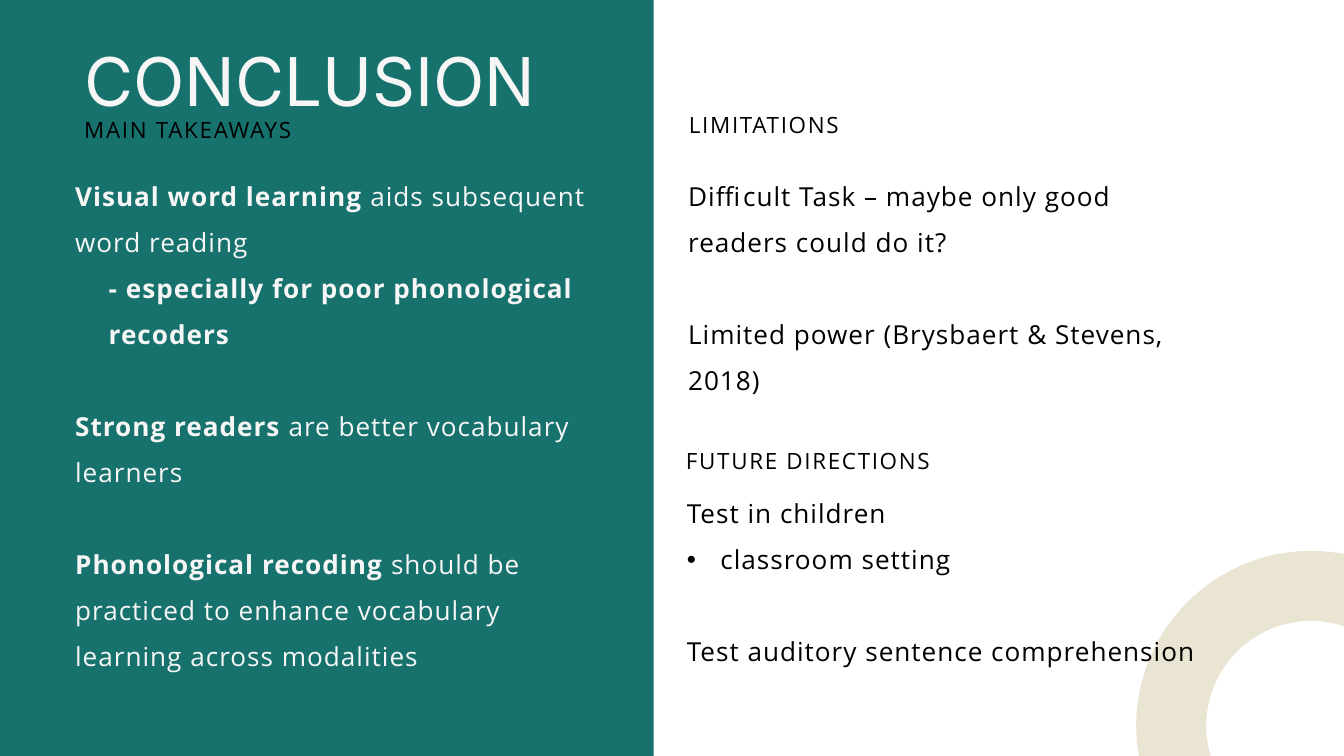
from dataclasses import dataclass

from lxml import etree
from pptx import Presentation
from pptx.dml.color import RGBColor
from pptx.enum import shapes, text
from pptx.oxml import ns
from pptx.util import Cm, Pt


@dataclass(frozen=True)
class Theme:
    teal: str = "17726D"
    sand: str = "EAE4D2"
    light: str = "F6F6F6"
    dark: str = "000000"
    title_font: str = "Inter"
    body_font: str = "Open Sans"
    title_size: float = 72
    heading_size: float = 24
    body_size: float = 28
    ring_width: float = 75


@dataclass(frozen=True)
class Box:
    left: float
    top: float
    width: float
    height: float

    def inner(self, left, top, width, height):
        return Box(self.left + left, self.top + top, width, height)

    def lengths(self):
        return [Cm(v) for v in (self.left, self.top, self.width, self.height)]


@dataclass(frozen=True)
class Style:
    font: str
    size: float
    color: str
    leading: float
    tracking: int = 0


@dataclass(frozen=True)
class Item:
    plain: str = ""
    strong: str = ""
    margin: float = 0
    bullet: bool = False
    gap: bool = False


THEME = Theme()
TITLE = Style(THEME.title_font, THEME.title_size, THEME.light, 75.6)
HEADING = Style(THEME.body_font, THEME.heading_size, THEME.dark, 33.6, 180)
LIGHT_LIST = Style(THEME.body_font, THEME.body_size, THEME.light, 49.3, 110)
DARK_LIST = Style(THEME.body_font, THEME.body_size, THEME.dark, 49.3, 110)
FRAME = dict(
    margin_left=0, margin_top=0, margin_right=0, margin_bottom=0, word_wrap=True,
    auto_size=text.MSO_AUTO_SIZE.NONE, vertical_anchor=text.MSO_ANCHOR.TOP,
)
INDENT = 1.27


def apply(target, values):
    for name, value in values.items():
        setattr(target, name, value)


def set_bullet(paragraph, item):
    props = paragraph._p.get_or_add_pPr()
    props.set("marL", str(Cm(item.margin)))
    props.set("indent", str(Cm(-item.margin if item.bullet else 0)))
    if item.bullet:
        etree.SubElement(props, ns.qn("a:buFont")).set("typeface", "Arial")
        etree.SubElement(props, ns.qn("a:buChar")).set("char", "•")
    else:
        etree.SubElement(props, ns.qn("a:buNone"))


def write(holder, box, style, items):
    apply(holder, dict(zip(("left", "top", "width", "height"), box.lengths())))
    frame = holder.text_frame
    apply(frame, FRAME)
    for index, item in enumerate(items):
        paragraph = frame.add_paragraph() if index else frame.paragraphs[0]
        set_bullet(paragraph, item)
        apply(paragraph, dict(
            alignment=text.PP_ALIGN.LEFT, line_spacing=Pt(style.leading),
            space_before=Pt(style.leading if item.gap else 0), space_after=Pt(0),
        ))
        for words, bold in ((item.strong, True), (item.plain, False)):
            if words:
                run = paragraph.add_run()
                run.text = words
                apply(run.font, dict(name=style.font, size=Pt(style.size), bold=bold))
                run.font.color.rgb = RGBColor.from_string(style.color)
                run._r.get_or_add_rPr().set("spc", str(style.tracking))


def add_backdrop(slide, preset, box):
    backdrop = slide.shapes.add_shape(preset, *box.lengths())
    backdrop.shadow.inherit = False
    slide.shapes._spTree.insert(2, backdrop._element)
    return backdrop


def add_ring(slide, box):
    ring = add_backdrop(slide, shapes.MSO_SHAPE.OVAL, box)
    ring.fill.background()
    ring.line.color.rgb = RGBColor.from_string(THEME.sand)
    ring.line.width = Pt(THEME.ring_width)


def add_takeaways(slide, box, title, heading, takeaways):
    panel = add_backdrop(slide, shapes.MSO_SHAPE.RECTANGLE, box)
    panel.fill.solid()
    panel.fill.fore_color.rgb = RGBColor.from_string(THEME.teal)
    panel.line.fill.background()
    write(title, box.inner(3.18, 1.85, 19.89, 2.77), TITLE, [Item("CONCLUSION")])
    write(heading, box.inner(3.18, 4.22, 18.95, 1.12), HEADING, [Item("MAIN TAKEAWAYS")])
    write(takeaways, box.inner(2.84, 6.27, 20.04, 19.02), LIGHT_LIST, [
        Item("aids subsequent word reading", "Visual word learning "),
        Item(strong="- especially for poor phonological recoders", margin=INDENT),
        Item("are better vocabulary learners", "Strong readers ", gap=True),
        Item("should be practiced to enhance vocabulary learning across modalities",
             "Phonological recoding ", gap=True),
    ])


def add_limitations(slide, box, heading, limitations):
    write(heading, box.inner(0.03, 0, 18.95, 1.12), HEADING, [Item("LIMITATIONS")])
    write(limitations, box.inner(0, 2.23, 20.04, 8.56), DARK_LIST, [
        Item("Difficult Task – maybe only good readers could do it?"),
        Item("Limited power (Brysbaert & Stevens, 2018)", gap=True),
    ])


def add_future(slide, box):
    heading, directions = (slide.shapes.add_textbox(*box.lengths()) for _ in range(2))
    write(heading, box.inner(0, 0, 18.95, 1.12), HEADING, [Item("FUTURE DIRECTIONS")])
    write(directions, box.inner(0.03, 1.52, 20.04, 6.81), DARK_LIST, [
        Item("Test in children"),
        Item("classroom setting", margin=INDENT, bullet=True),
        Item("Test auditory sentence comprehension", gap=True),
    ])


def main():
    deck = Presentation()
    apply(deck, dict(slide_width=Cm(50.8), slide_height=Cm(28.58)))
    slide = deck.slides.add_slide(deck.slide_layouts.get_by_name("Comparison"))
    title, main_heading, takeaways, side_heading, limitations = list(slide.placeholders)[:5]
    add_ring(slide, Box(44.27, 22.15, 10.57, 10.57))
    add_takeaways(slide, Box(0, 0, 24.71, 28.58), title, main_heading, takeaways)
    add_limitations(slide, Box(26.01, 4.04, 20.04, 10.79), side_heading, limitations)
    add_future(slide, Box(25.93, 16.74, 20.07, 8.33))
    deck.save("out.pptx")


if __name__ == "__main__":
    main()
